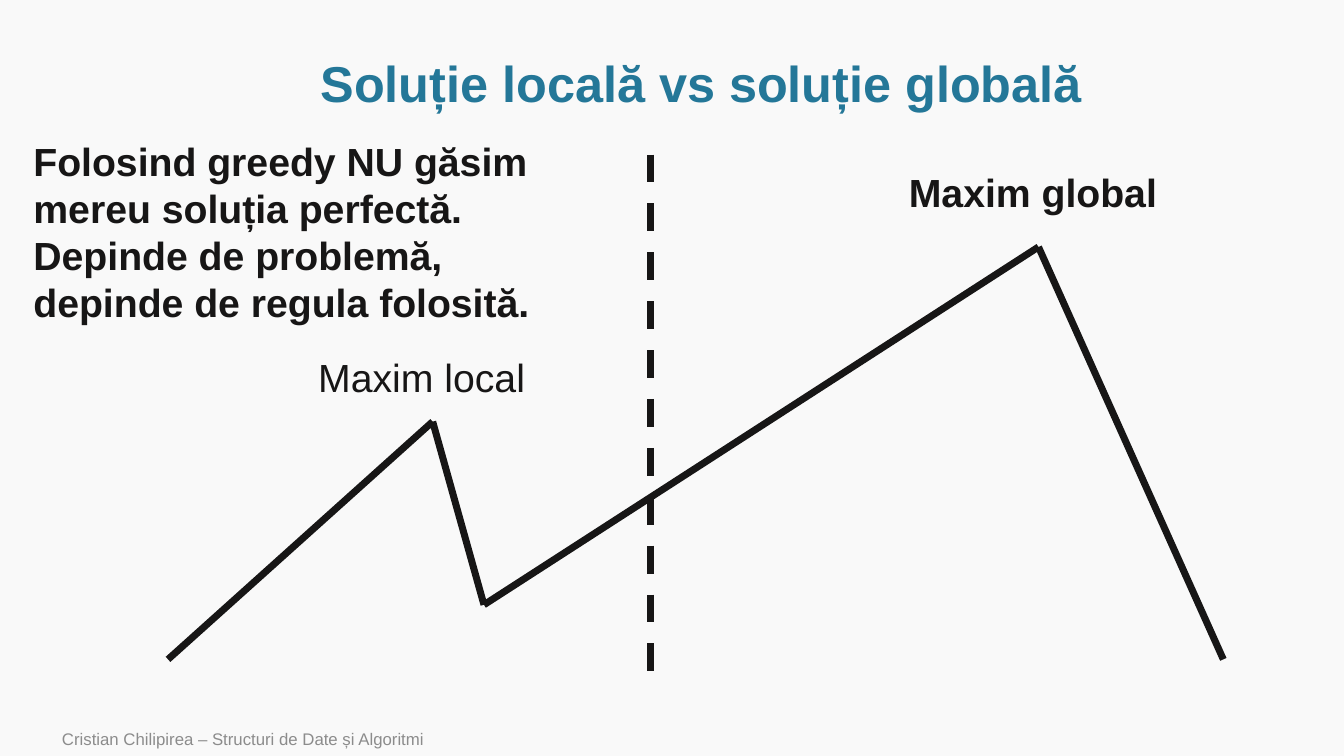
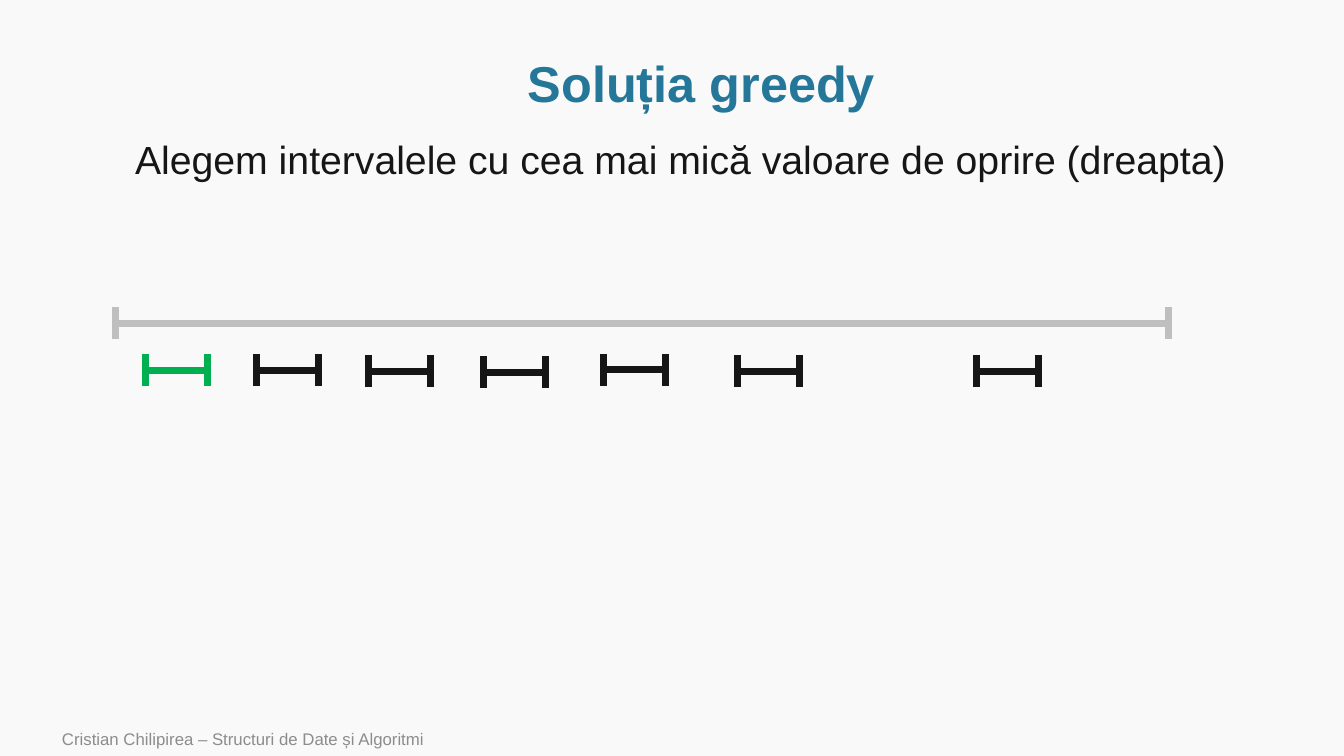
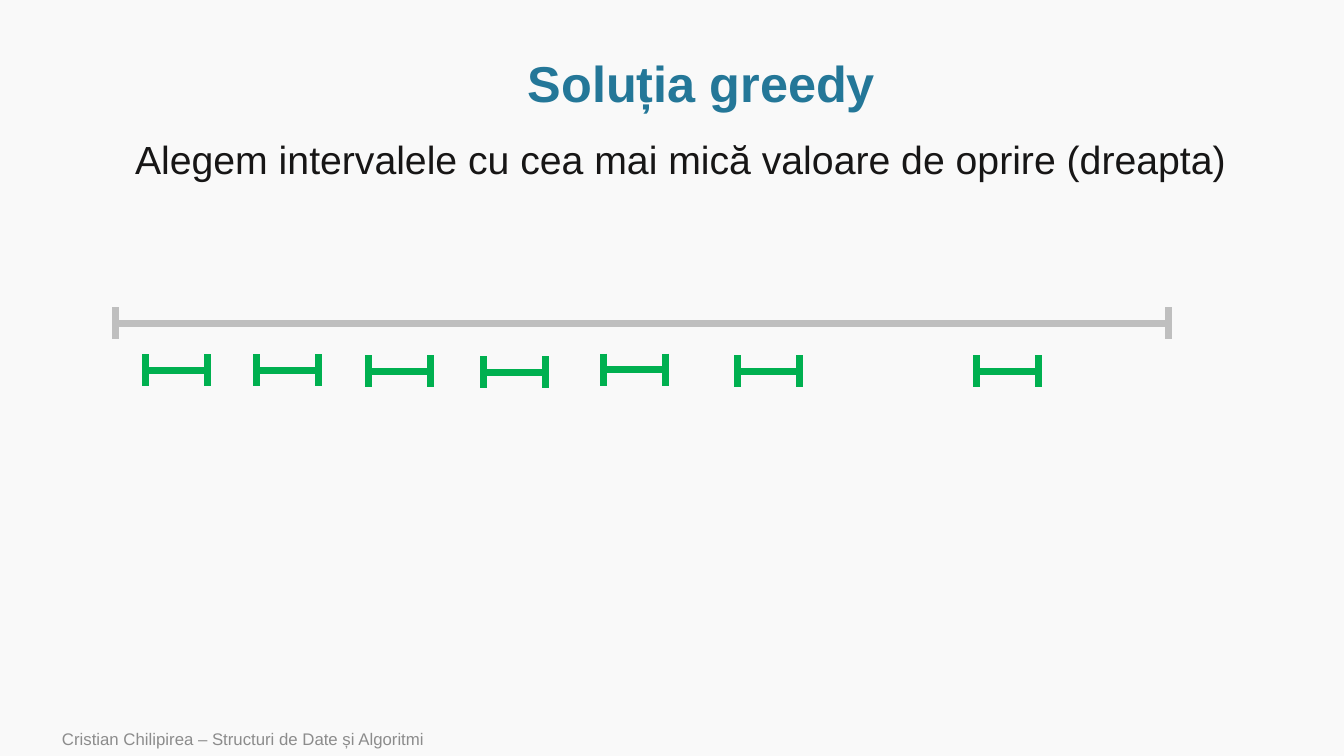
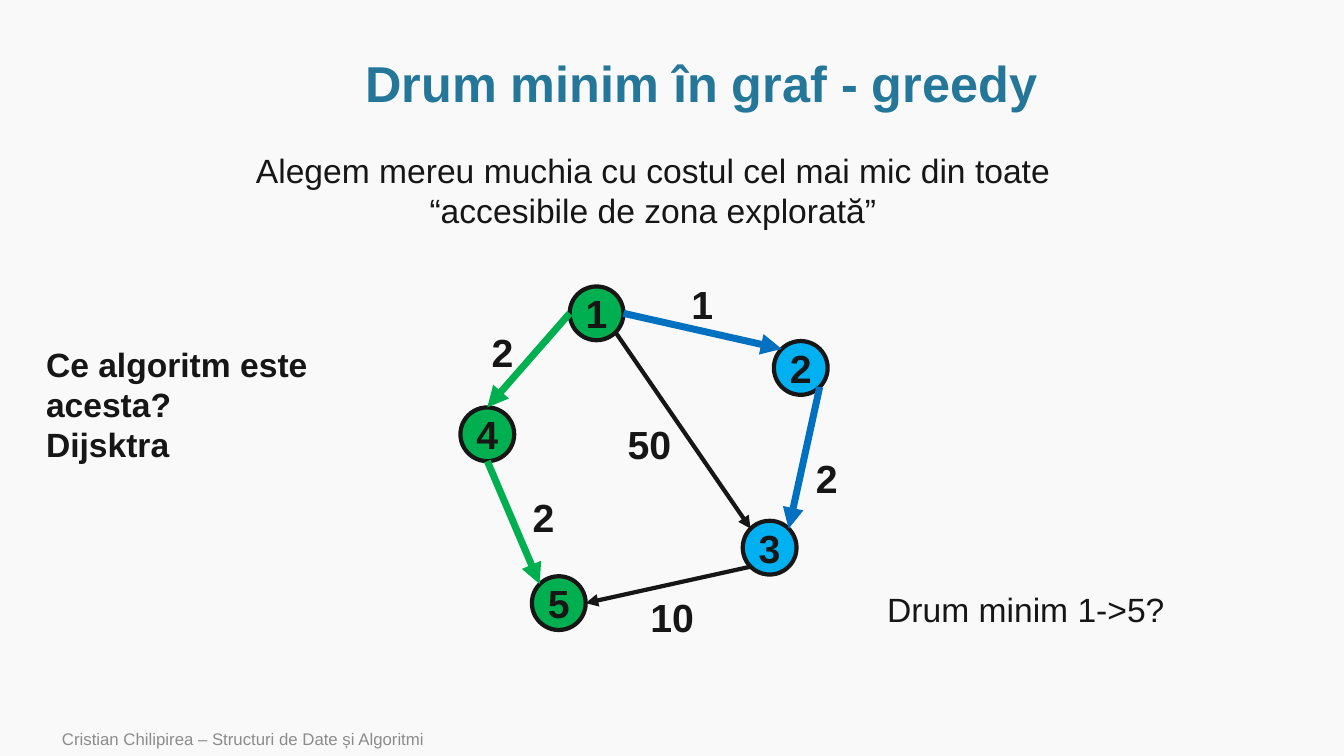
from itertools import pairwise
from math import cos, radians, sin

from lxml.etree import SubElement
from pptx import Presentation
from pptx.dml.color import RGBColor
from pptx.enum.dml import MSO_LINE_DASH_STYLE as DASH
from pptx.enum.shapes import MSO_CONNECTOR as LINK, MSO_SHAPE as SHAPE
from pptx.enum.text import MSO_ANCHOR as ANCHOR, MSO_AUTO_SIZE as FIT, PP_ALIGN as ALIGN
from pptx.oxml.ns import qn
from pptx.util import Inches, Pt

FONT = "Arial"
PAPER = RGBColor(0xF9, 0xF9, 0xF9)
INK = RGBColor(0x17, 0x16, 0x16)
TEAL = RGBColor(0x24, 0x77, 0x98)
GRAY = RGBColor(0x8C, 0x8C, 0x8C)
SILVER = RGBColor(0xBF, 0xBF, 0xBF)
GREEN = RGBColor(0x00, 0xB0, 0x50)
SKY = RGBColor(0x00, 0xB0, 0xF0)
BLUE = RGBColor(0x00, 0x70, 0xC0)

WIDTH, HEIGHT = Inches(13.33), Inches(7.5)
CELL = HEIGHT / 9

FOOTER = "Cristian Chilipirea – Structuri de Date și Algoritmi"
TITLE_BOX = (1.37, 0.61, 13.96, 0.83)
FOOTER_BOX = (0.62, 8.59, 10.08, 0.41)

RADIUS = 0.32
TOP, TOP_LEFT, LEFT, BOTTOM_LEFT, BOTTOM, BOTTOM_RIGHT, RIGHT, TOP_RIGHT = range(90, 450, 45)


def cells(*values):
    return [round(v * CELL) for v in values]


def write(tf, text, size=28, color=INK, bold=False, align=ALIGN.LEFT,
          anchor=ANCHOR.TOP, spacing=None, wrap=True):
    tf.word_wrap = wrap
    tf.auto_size = FIT.NONE
    tf.vertical_anchor = anchor
    tf.text = text
    for p in tf.paragraphs:
        p.alignment = align
        p.line_spacing = spacing
        p.font.name = FONT
        p.font.size = Pt(size)
        p.font.bold = bold
        p.font.color.rgb = color


def add_text(s, box, text, **fmt):
    write(s.shapes.add_textbox(*cells(*box)).text_frame, text, **fmt)


def add_line(shapes, start, end, color=INK, width=5, dash=None, arrow=False):
    c = shapes.add_connector(LINK.STRAIGHT, *cells(*start, *end))
    c.line.color.rgb = color
    c.line.width = Pt(width)
    if dash:
        c.line.dash_style = dash
    spPr = c._element.spPr
    if arrow:
        SubElement(spPr.find(qn("a:ln")), qn("a:tailEnd"), type="triangle")
    SubElement(spPr, qn("a:effectLst"))


def add_interval(s, x, y, length, color):
    shapes = s.shapes.add_group_shape().shapes
    add_line(shapes, (x, y), (x + length, y), color)
    for end in (x, x + length):
        add_line(shapes, (end, y - 0.19), (end, y + 0.19), color)


def add_node(s, name, center, fill):
    x, y = center
    node = s.shapes.add_shape(SHAPE.OVAL, *cells(x - RADIUS, y - RADIUS, 2 * RADIUS, 2 * RADIUS))
    node.shadow.inherit = False
    node.fill.solid()
    node.fill.fore_color.rgb = fill
    node.line.color.rgb = INK
    node.line.width = Pt(3)
    write(node.text_frame, name, bold=True, align=ALIGN.CENTER, anchor=ANCHOR.MIDDLE, wrap=False)


def rim(center, angle):
    x, y = center
    return x + RADIUS * cos(radians(angle)), y - RADIUS * sin(radians(angle))


def add_slide(prs, title):
    s = prs.slides.add_slide(prs.slide_layouts[5])
    sp = s.shapes.title
    sp.left, sp.top, sp.width, sp.height = cells(*TITLE_BOX)
    write(sp.text_frame, title, size=36, color=TEAL, bold=True, align=ALIGN.CENTER,
          anchor=ANCHOR.MIDDLE, spacing=0.9)
    add_text(s, FOOTER_BOX, FOOTER, size=12, color=GRAY, anchor=ANCHOR.MIDDLE)
    return s


def local_global_slide(prs):
    s = add_slide(prs, "Soluție locală vs soluție globală")
    add_line(s.shapes, (7.74, 1.84), (7.74, 8.12), dash=DASH.DASH)
    curve = [(2, 7.85), (5.15, 5.02), (5.76, 7.2), (12.36, 2.94), (14.56, 7.85)]
    for start, end in pairwise(curve):
        add_line(s.shapes, start, end)
    add_text(s, (3.67, 4.15, 3.1, 0.68), "Maxim local")
    add_text(s, (10.7, 1.94, 3.6, 0.68), "Maxim global", bold=True)
    add_text(s, (0.28, 1.57, 6.6, 2.39),
             "Folosind greedy NU găsim mereu soluția perfectă.\n"
             "Depinde de problemă, depinde de regula folosită.", bold=True)


def intervals_slide(prs, chosen):
    s = add_slide(prs, "Soluția greedy")
    add_text(s, (1.49, 1.61, 13.84, 0.83),
             "Alegem intervalele cu cea mai mică valoare de oprire (dreapta)", spacing=0.9)
    add_interval(s, 1.37, 3.85, 12.54, SILVER)
    starts = [(1.73, 4.41), (3.05, 4.41), (4.38, 4.42), (5.75, 4.43),
              (7.18, 4.4), (8.78, 4.42), (11.62, 4.42)]
    for i, (x, y) in enumerate(starts):
        add_interval(s, x, y, 0.74, GREEN if i < chosen else INK)


def graph_slide(prs):
    s = add_slide(prs, "Drum minim în graf - greedy")
    nodes = {"1": ((7.1, 3.73), GREEN), "2": ((9.53, 4.38), SKY), "3": ((9.16, 6.52), SKY),
             "4": ((5.8, 5.17), GREEN), "5": ((6.65, 7.18), GREEN)}
    edges = [("1", LEFT, "4", TOP, GREEN, 5, "2", (5.98, 3.85)),
             ("4", BOTTOM, "5", TOP_LEFT, GREEN, 5, "2", (6.47, 5.81)),
             ("1", BOTTOM_RIGHT, "3", TOP_LEFT, INK, 3, "50", (7.73, 4.94)),
             ("3", BOTTOM_LEFT, "5", RIGHT, INK, 3, "10", (8, 7)),
             ("1", RIGHT, "2", TOP_LEFT, BLUE, 5, "1", (8.36, 3.28)),
             ("2", BOTTOM_RIGHT, "3", TOP_RIGHT, BLUE, 5, "2", (9.84, 5.35))]
    for name, (center, fill) in nodes.items():
        add_node(s, name, center, fill)
    for a, a_side, b, b_side, color, width, cost, (x, y) in edges:
        add_line(s.shapes, rim(nodes[a][0], a_side), rim(nodes[b][0], b_side),
                 color, width, arrow=True)
        add_text(s, (x - 0.6, y, 1.2, 0.68), cost, bold=True, align=ALIGN.CENTER)
    add_text(s, (2.26, 1.72, 11.02, 1.09),
             "Alegem mereu muchia cu costul cel mai mic din toate “accesibile de zona explorată”",
             size=24, align=ALIGN.CENTER)
    add_text(s, (10.44, 6.95, 3.9, 0.6), "Drum minim 1->5?", size=24)
    add_text(s, (0.43, 4.03, 4.3, 1.57), "Ce algoritm este acesta?\nDijsktra", size=24, bold=True)


def main():
    prs = Presentation()
    prs.slide_width, prs.slide_height = WIDTH, HEIGHT
    fill = prs.slide_master.background.fill
    fill.solid()
    fill.fore_color.rgb = PAPER
    local_global_slide(prs)
    for chosen in (1, 7):
        intervals_slide(prs, chosen)
    graph_slide(prs)
    prs.save("out.pptx")


if __name__ == "__main__":
    main()
